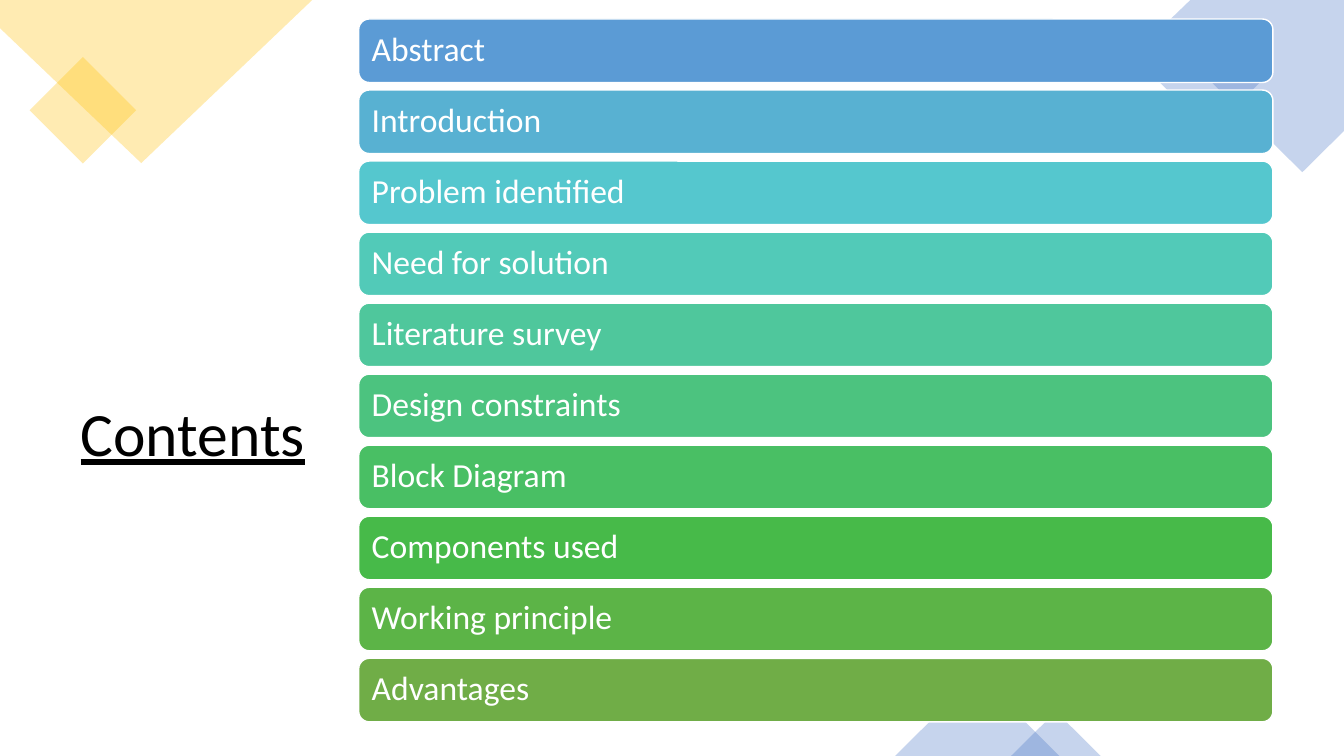
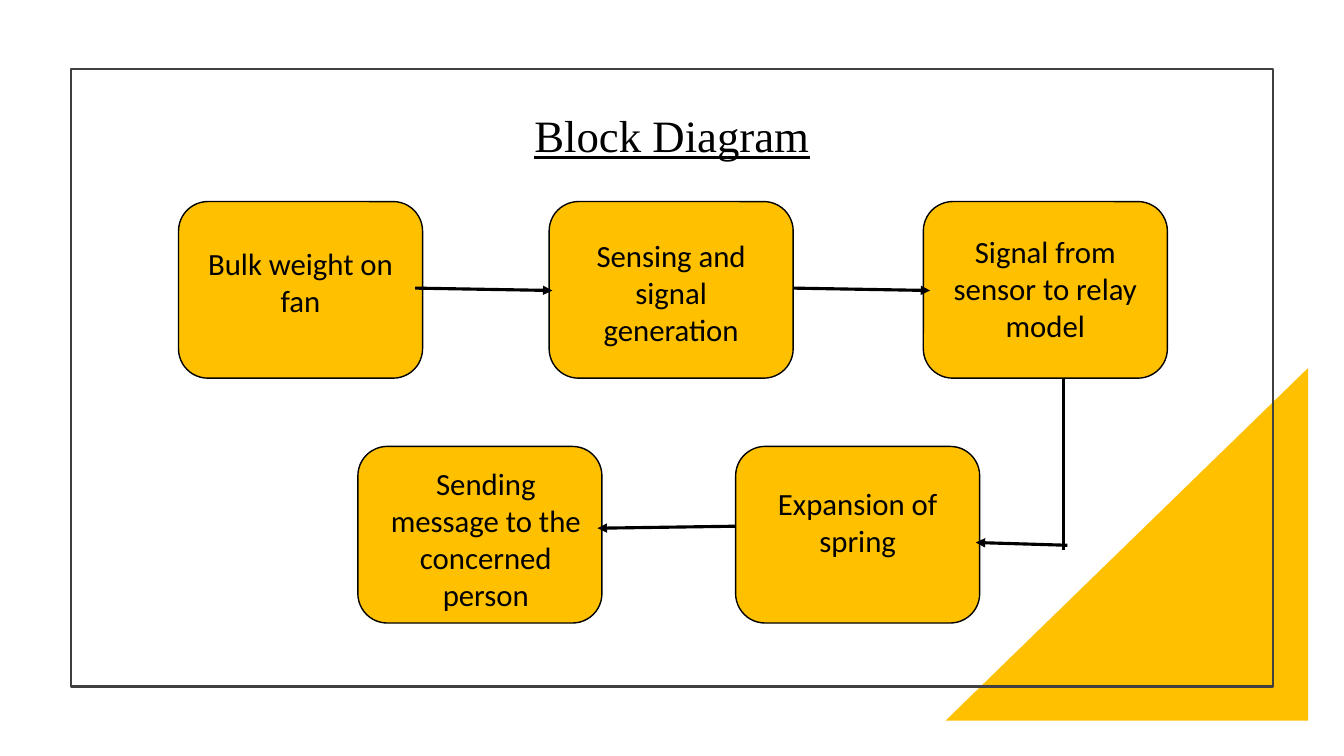
from lxml.etree import SubElement
from pptx import Presentation
from pptx.dml.color import RGBColor
from pptx.enum.shapes import MSO_CONNECTOR, MSO_SHAPE
from pptx.enum.text import MSO_ANCHOR, PP_ALIGN
from pptx.oxml.ns import qn
from pptx.util import Cm, Pt

WIDTH, HEIGHT = 33.87, 19.05
GOLD, BLUE, BLACK, WHITE, GREY = "FFC000", "4472C4", "000000", "FFFFFF", "404040"

TITLE = {"name": "Calibri", "size": Pt(44), "underline": True}
DIAGRAM_TITLE = {"name": "Times New Roman", "size": Pt(32), "underline": True}
BAR_TEXT = {"name": "Calibri", "size": Pt(24)}
BOX_TEXT = {"name": "Calibri", "size": Pt(22)}
TITLE_PARA = {"line_spacing": 0.9, "space_after": Pt(6)}

CONTENTS = [
    ("Abstract", "5B9BD5"),
    ("Introduction", "58B1D2"),
    ("Problem identified", "55C7CE"),
    ("Need for solution", "52CAB8"),
    ("Literature survey", "4FC79C"),
    ("Design constraints", "4CC37F"),
    ("Block Diagram", "49BF64"),
    ("Components used", "47BA49"),
    ("Working principle", "5CB447"),
    ("Advantages", "70AD47"),
]
BAR_LEFT, BAR_TOP, BAR_W, BAR_H, BAR_PITCH = 9.04, 0.48, 23.04, 1.6, 1.79

BOX_W, BOX_H, ROW_1, ROW_2 = 6.15, 4.45, 5.08, 11.25
BOXES = [
    ("Bulk weight on fan", 4.5, ROW_1, 0.88, 0.34),
    ("Sensing and signal generation", 13.84, ROW_1, 0.67, 0.34),
    ("Signal from sensor to relay model", 23.27, ROW_1, 0.57, 0.34),
    ("Expansion of spring", 18.54, ROW_2, 0.75, 0.34),
    ("Sending message to the concerned person", 9.02, ROW_2, 0.24, 0.49),
]
SIDE_INSETS = 0.68
LINKS = [
    (10.46, 7.26, 13.92, 7.32, True),
    (19.99, 7.26, 23.44, 7.32, True),
    (18.52, 13.26, 15.06, 13.31, True),
    (26.8, 9.53, 26.8, 13.87, False),
    (26.9, 13.74, 24.59, 13.67, True),
]


def rgb(value):
    return RGBColor.from_string(value)


def apply(obj, values):
    for key, value in values.items():
        setattr(obj, key, value)


def paint(sp, fill=None, line=None, width=1, alpha=None):
    sp.shadow.inherit = False
    if fill:
        sp.fill.solid()
        sp.fill.fore_color.rgb = rgb(fill)
    else:
        sp.fill.background()
    if alpha:
        color = sp.fill._xPr.find(qn("a:solidFill"))[0]
        SubElement(color, qn("a:alpha")).set("val", str(alpha * 1000))
    if line:
        sp.line.color.rgb = rgb(line)
        sp.line.width = Pt(width)
    else:
        sp.line.fill.background()


def add_shape(s, kind, box, rotation=0, **look):
    sp = s.shapes.add_shape(kind, *map(Cm, box))
    sp.rotation = rotation
    paint(sp, **look)
    return sp


def add_polygon(s, points, **look):
    start, *rest = [(Cm(x), Cm(y)) for x, y in points]
    builder = s.shapes.build_freeform(*start)
    builder.add_line_segments(rest, close=True)
    paint(builder.convert_to_shape(), **look)


def write(sp, text, font, color, para, frame):
    tf = sp.text_frame
    apply(tf, {"word_wrap": True, **frame})
    p = tf.paragraphs[0]
    apply(p, para)
    r = p.add_run()
    r.text = text
    apply(r.font, font)
    r.font.color.rgb = rgb(color)


def add_title(s, text, box, font, align, anchor):
    tb = s.shapes.add_textbox(*map(Cm, box))
    write(tb, text, font, BLACK, {**TITLE_PARA, "alignment": align},
          {"vertical_anchor": anchor})


def add_bar(s, text, top, color):
    sp = add_shape(s, MSO_SHAPE.ROUNDED_RECTANGLE, (BAR_LEFT, top, BAR_W, BAR_H),
                   fill=color, line=WHITE)
    write(sp, text, BAR_TEXT, WHITE,
          {"alignment": PP_ALIGN.LEFT, "line_spacing": 0.9},
          {"vertical_anchor": MSO_ANCHOR.MIDDLE, "margin_left": Cm(0.25)})


def add_box(s, text, left, top, inset_top, inset_left):
    sp = add_shape(s, MSO_SHAPE.ROUNDED_RECTANGLE, (left, top, BOX_W, BOX_H),
                   fill=GOLD, line=BLACK)
    write(sp, text, BOX_TEXT, BLACK, {"alignment": PP_ALIGN.CENTER}, {
        "vertical_anchor": MSO_ANCHOR.TOP,
        "margin_top": Cm(inset_top),
        "margin_bottom": 0,
        "margin_left": Cm(inset_left),
        "margin_right": Cm(SIDE_INSETS - inset_left),
    })


def add_link(s, x1, y1, x2, y2, arrow):
    link = s.shapes.add_connector(MSO_CONNECTOR.STRAIGHT, *map(Cm, (x1, y1, x2, y2)))
    link.line.color.rgb = rgb(BLACK)
    link.line.width = Pt(2.25)
    if arrow:
        SubElement(link.line._get_or_add_ln(), qn("a:tailEnd")).set("type", "triangle")
    SubElement(link._element.spPr, qn("a:effectLst"))


def add_corner_decor(s):
    gold = {"fill": GOLD, "alpha": 30}
    blue = {"fill": BLUE, "alpha": 30}
    add_shape(s, MSO_SHAPE.RECTANGLE, (1.14, 1.83, 1.9, 1.9), 45, **gold)
    add_polygon(s, [(0, 0), (7.87, 0), (3.56, 4.11), (0, 0.71)], **gold)
    add_polygon(s, [(30, 0), (WIDTH, 0), (WIDTH, 3.3), (32.82, 4.34), (29.21, 0.76)],
                **blue)
    add_shape(s, MSO_SHAPE.RECTANGLE, (29.59, 1.17, 1.8, 1.8), 45, **blue)
    for left, w, h in [(22.56, 4.14, 2.06), (25.48, 2.26, 1.12)]:
        add_shape(s, MSO_SHAPE.ISOSCELES_TRIANGLE, (left, HEIGHT - h, w, h), **blue)


def contents_slide(s):
    add_title(s, "Contents", (1.78, 4.72, 11, 12.55), TITLE,
              PP_ALIGN.LEFT, MSO_ANCHOR.MIDDLE)
    add_corner_decor(s)
    for i, (text, color) in enumerate(CONTENTS):
        add_bar(s, text, BAR_TOP + i * BAR_PITCH, color)


def diagram_slide(s):
    add_polygon(s, [(32.97, 9.27), (32.97, 18.16), (23.83, 18.16)], fill=GOLD)
    add_shape(s, MSO_SHAPE.RECTANGLE, (1.78, 1.73, 30.3, 15.57), line=GREY, width=1.5)
    add_title(s, "Block Diagram", (5.72, 2.44, 22.43, 1.78), DIAGRAM_TITLE,
              PP_ALIGN.CENTER, MSO_ANCHOR.BOTTOM)
    for box in BOXES:
        add_box(s, *box)
    for link in LINKS:
        add_link(s, *link)


def main():
    prs = Presentation()
    apply(prs, {"slide_width": Cm(WIDTH), "slide_height": Cm(HEIGHT)})
    for build in (contents_slide, diagram_slide):
        build(prs.slides.add_slide(prs.slide_layouts[6]))
    prs.save("out.pptx")


if __name__ == "__main__":
    main()
